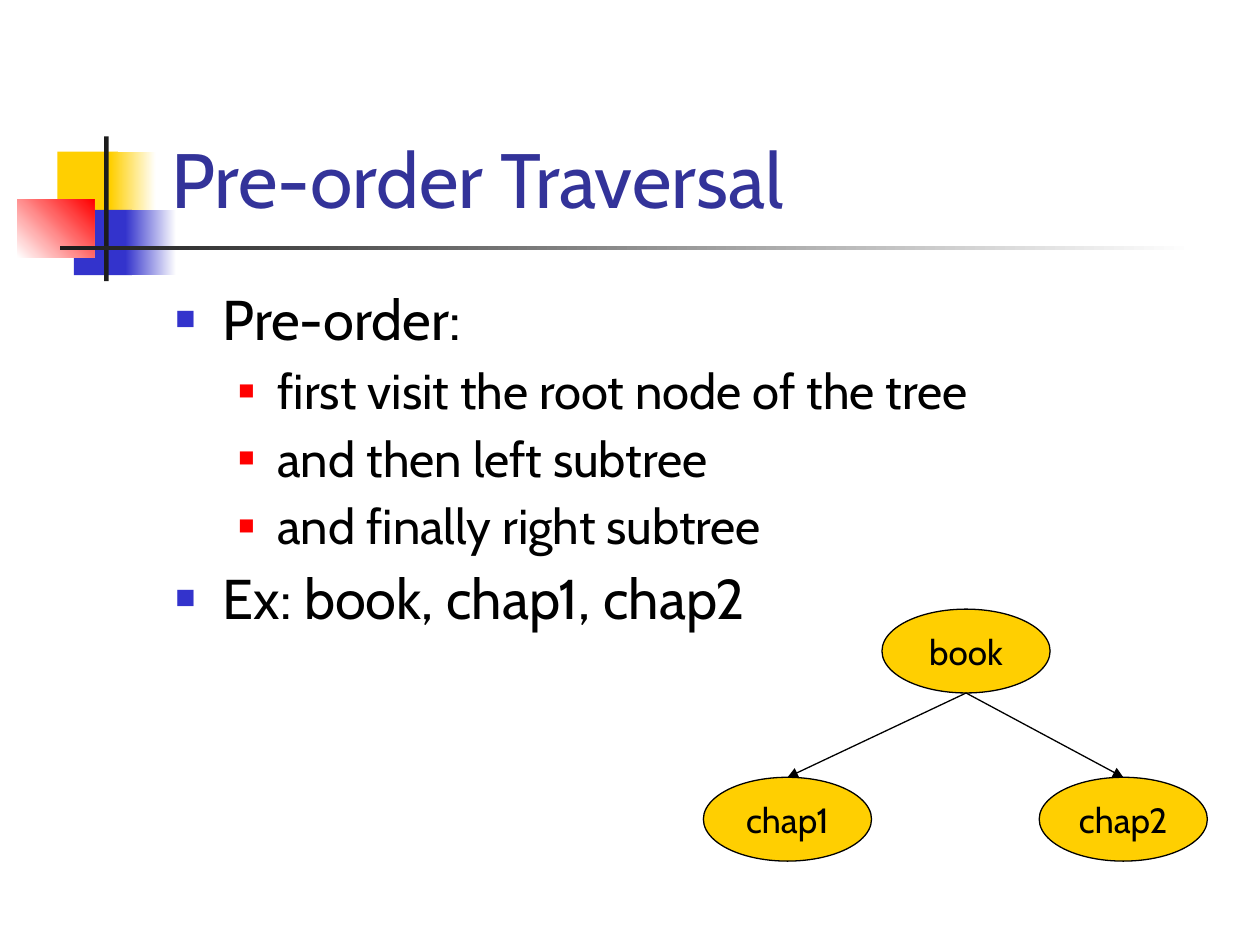
from lxml.etree import SubElement as Sub
from pptx import Presentation
from pptx.dml.color import RGBColor
from pptx.enum.shapes import MSO_CONNECTOR as Link, MSO_SHAPE as Kind
from pptx.enum.text import MSO_ANCHOR as Anchor, MSO_AUTO_SIZE as Fit, PP_ALIGN as Align
from pptx.oxml.ns import qn
from pptx.util import Cm, Pt

FONT = "Cabin"
GOLD, BLUE, RED, DARK = "FFCF01", "3333CC", "FF0000", "1C1C1C"
WHITE, BLACK, NAVY = "FFFFFF", "000000", "333399"


def color(code):
    return RGBColor.from_string(code)


def style(par, size, code):
    for run in par.runs:
        run.font.name = FONT
        run.font.size = Pt(size)
        run.font.color.rgb = color(code)


def place(shape, box):
    shape.left, shape.top, shape.width, shape.height = map(Cm, box)


def block(slide, box, first, last=None, angle=0):
    """Draw a borderless bar, plain or fading from first to last."""
    bar = slide.shapes.add_shape(Kind.RECTANGLE, *map(Cm, box))
    bar.shadow.inherit = False
    bar.line.fill.background()
    if last is None:
        bar.fill.solid()
        bar.fill.fore_color.rgb = color(first)
        return
    bar.fill.gradient()
    bar.fill.gradient_angle = angle
    for stop, code in zip(bar.fill.gradient_stops, (first, last)):
        stop.color.rgb = color(code)


def emblem(slide, x, y):
    # Coloured squares with their fading ends
    block(slide, (x + 0.81, y + 0.31, 1.22, 1.32), GOLD)
    block(slide, (x + 1.88, y + 0.31, 0.91, 1.32), GOLD, WHITE)
    block(slide, (x + 1.14, y + 1.48, 1.17, 1.32), BLUE)
    block(slide, (x + 2.18, y + 1.48, 1.02, 1.32), BLUE, WHITE)
    block(slide, (x, y + 1.27, 1.55, 1.17), WHITE, RED, 45)
    # Crossing rules
    block(slide, (x + 1.75, y, 0.09, 2.92), DARK)
    block(slide, (x + 0.86, y + 2.2, 22.86, 0.09), DARK, WHITE)


def heading(slide, box, text):
    title = slide.shapes.title
    place(title, box)
    frame = title.text_frame
    frame.text = text
    frame.auto_size = Fit.NONE
    frame.vertical_anchor = Anchor.BOTTOM
    par = frame.paragraphs[0]
    par.alignment = Align.LEFT
    style(par, 44, NAVY)


def bullet(par, code, scale, left, hang):
    props = par._p.get_or_add_pPr()
    props.set("marL", str(Cm(left)))
    props.set("indent", str(-Cm(hang)))
    Sub(Sub(props, qn("a:buClr")), qn("a:srgbClr"), val=code)
    Sub(props, qn("a:buSzPct"), val=str(scale * 1000))
    Sub(props, qn("a:buFont"), typeface="Arial")
    Sub(props, qn("a:buChar"), char="■")


def outline(slide, box, items):
    # Size, bullet colour, bullet scale, indent and hang of each level
    looks = [(32, BLUE, 60, 0.95, 0.95), (28, RED, 55, 2.06, 0.79)]
    body = slide.placeholders[1]
    place(body, box)
    frame = body.text_frame
    frame.text = "\n".join(text for _, text in items)
    frame.auto_size = Fit.NONE
    for n, (par, (level, _)) in enumerate(zip(frame.paragraphs, items)):
        size, *mark = looks[level]
        par.level = level
        bullet(par, *mark)
        par.space_before = Pt(5 if n else 0)
        style(par, size, BLACK)


def node(slide, x, y, text):
    oval = slide.shapes.add_shape(Kind.OVAL, Cm(x), Cm(y), Cm(3.39), Cm(1.69))
    oval.shadow.inherit = False
    oval.fill.solid()
    oval.fill.fore_color.rgb = color(GOLD)
    oval.line.color.rgb = color(BLACK)
    oval.line.width = Pt(0.75)
    frame = oval.text_frame
    frame.text = text
    frame.word_wrap = False
    frame.vertical_anchor = Anchor.MIDDLE
    par = frame.paragraphs[0]
    par.alignment = Align.CENTER
    style(par, 20, BLACK)
    return oval


def arrow(slide, start, end):
    """Join the bottom of one node to the top of another."""
    line = slide.shapes.add_connector(
        Link.STRAIGHT,
        start.left + start.width // 2, start.top + start.height,
        end.left + end.width // 2, end.top)
    line.line.color.rgb = color(BLACK)
    line.line.width = Pt(0.75)
    Sub(line.line._get_or_add_ln(), qn("a:tailEnd"), type="triangle")
    Sub(line._element.spPr, qn("a:effectLst"))


def tree(slide, x, y):
    root = node(slide, x + 3.6, y, "book")
    leaves = [node(slide, x + dx, y + 3.39, text)
              for dx, text in ((0, "chap1"), (6.77, "chap2"))]
    for leaf in leaves:
        arrow(slide, root, leaf)


def main():
    deck = Presentation()
    deck.slide_width, deck.slide_height = Cm(25.4), Cm(19.05)
    slide = deck.slides.add_slide(deck.slide_layouts[1])
    emblem(slide, 0.35, 2.75)
    heading(slide, (3.2, 0.58, 21.64, 4.06), "Pre-order Traversal")
    outline(slide, (3.28, 5.61, 21.59, 12.17), [
        (0, "Pre-order:"),
        (1, "first visit the root node of the tree"),
        (1, "and then left subtree"),
        (1, "and finally right subtree"),
        (0, "Ex: book, chap1, chap2"),
    ])
    tree(slide, 14.18, 12.28)
    deck.save("out.pptx")


if __name__ == "__main__":
    main()
